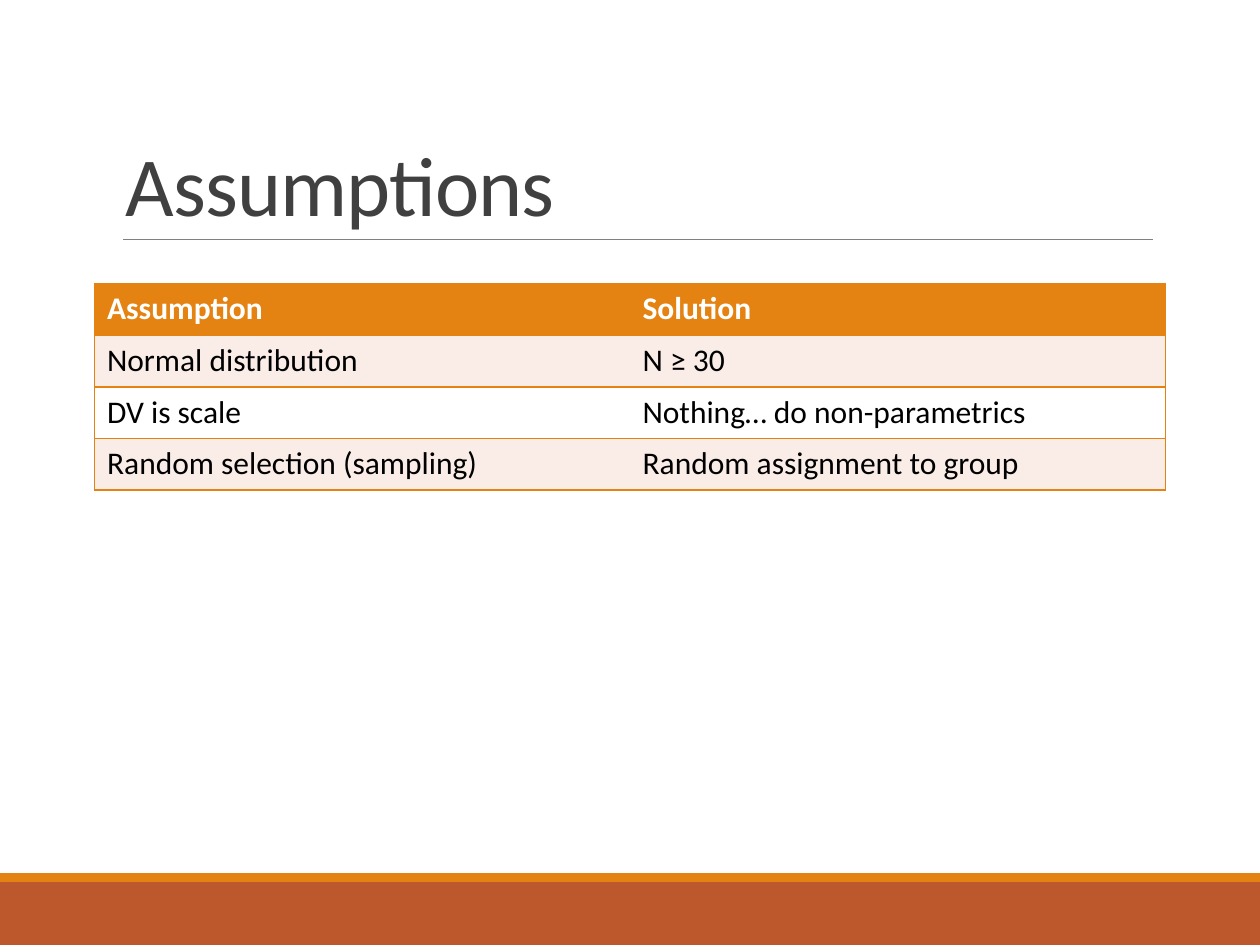
from dataclasses import dataclass

from lxml import etree
from pptx import Presentation
from pptx.dml.color import RGBColor
from pptx.enum.shapes import MSO_CONNECTOR, MSO_SHAPE
from pptx.enum.text import MSO_ANCHOR
from pptx.oxml.ns import qn
from pptx.util import Inches, Pt

RECTANGLE = MSO_SHAPE.RECTANGLE
STRAIGHT = MSO_CONNECTOR.STRAIGHT
BOTTOM = MSO_ANCHOR.BOTTOM

TITLE = "Assumptions"
TABLE_ROWS = [
    ("Assumption", "Solution"),
    ("Normal distribution", "N ≥ 30"),
    ("DV is scale", "Nothing… do non-parametrics"),
    ("Random selection (sampling)", "Random assignment to group"),
]


@dataclass(frozen=True)
class Theme:
    font: str = "Calibri"
    title_size: int = 48
    table_size: int = 18
    accent: str = "E48312"
    footer: str = "BD582C"
    rule: str = "808080"
    title: str = "404040"
    header_text: str = "FFFFFF"
    body_text: str = "000000"
    band: str = "FAEDE7"
    plain: str = "FFFFFF"


THEME = Theme()
SLIDE_WIDTH, SLIDE_HEIGHT = 10, 7.5
FOOTER_HEIGHT, STRIPE_HEIGHT = 0.5, 0.07
TABLE_LEFT, TABLE_TOP, TABLE_WIDTH = 0.75, 2.25, 8.5
ROW_HEIGHT = 0.41
NO_TABLE_STYLE = "{2D5ABB26-0587-4C30-8999-92F81FD0307C}"


def color(value):
    return RGBColor.from_string(value)


def style_font(font, size, text_color, bold=False):
    font.name = THEME.font
    font.size = Pt(size)
    font.bold = bold
    font.color.rgb = color(text_color)


def add_bar(slide, top, height, fill):
    bar = slide.shapes.add_shape(
        RECTANGLE, 0, Inches(top), Inches(SLIDE_WIDTH), Inches(height))
    bar.shadow.inherit = False
    bar.fill.solid()
    bar.fill.fore_color.rgb = color(fill)
    bar.line.fill.background()


def add_title(slide):
    rule = slide.shapes.add_connector(
        STRAIGHT, Inches(0.98), Inches(1.9), Inches(9.15), Inches(1.9))
    rule.line.color.rgb = color(THEME.rule)
    rule.line.width = Pt(0.5)
    etree.SubElement(rule._element.spPr, qn("a:effectLst"))

    box = slide.shapes.add_textbox(
        Inches(0.9), Inches(0.31), Inches(8.25), Inches(1.59))
    text_frame = box.text_frame
    text_frame.word_wrap = True
    text_frame.vertical_anchor = BOTTOM
    text_frame.text = TITLE
    paragraph = text_frame.paragraphs[0]
    paragraph.line_spacing = 0.85
    run = paragraph.runs[0]
    style_font(run.font, THEME.title_size, THEME.title)
    run._r.get_or_add_rPr().set("spc", "-50")


def add_borders(cell, sides):
    """Draw the given sides (L, R, T, B, in that order); call before filling."""
    properties = cell._tc.get_or_add_tcPr()
    for side in sides:
        line = etree.SubElement(properties, qn(f"a:ln{side}"), w=str(Pt(1)))
        fill = etree.SubElement(line, qn("a:solidFill"))
        etree.SubElement(fill, qn("a:srgbClr"), val=THEME.accent)


def add_assumption_table(slide):
    row_count, column_count = len(TABLE_ROWS), len(TABLE_ROWS[0])
    frame = slide.shapes.add_table(
        row_count, column_count, Inches(TABLE_LEFT), Inches(TABLE_TOP),
        Inches(TABLE_WIDTH), Inches(ROW_HEIGHT * row_count))
    table = frame.table
    table._tbl.tblPr.find(qn("a:tableStyleId")).text = NO_TABLE_STYLE
    for row_index, row in enumerate(TABLE_ROWS):
        is_header = row_index == 0
        band = THEME.band if row_index % 2 else THEME.plain
        for column_index, text in enumerate(row):
            cell = table.cell(row_index, column_index)
            add_borders(cell, "LTB" if column_index == 0 else "RTB")
            cell.fill.solid()
            cell.fill.fore_color.rgb = color(THEME.accent if is_header else band)
            cell.text_frame.text = text
            style_font(cell.text_frame.paragraphs[0].runs[0].font,
                       THEME.table_size,
                       THEME.header_text if is_header else THEME.body_text,
                       bold=is_header)


def main():
    presentation = Presentation()
    presentation.slide_width = Inches(SLIDE_WIDTH)
    presentation.slide_height = Inches(SLIDE_HEIGHT)
    slide = presentation.slides.add_slide(presentation.slide_layouts[6])
    footer_top = SLIDE_HEIGHT - FOOTER_HEIGHT
    add_bar(slide, footer_top, FOOTER_HEIGHT, THEME.footer)
    add_bar(slide, footer_top - STRIPE_HEIGHT, STRIPE_HEIGHT, THEME.accent)
    add_title(slide)
    add_assumption_table(slide)
    presentation.save("out.pptx")


if __name__ == "__main__":
    main()
